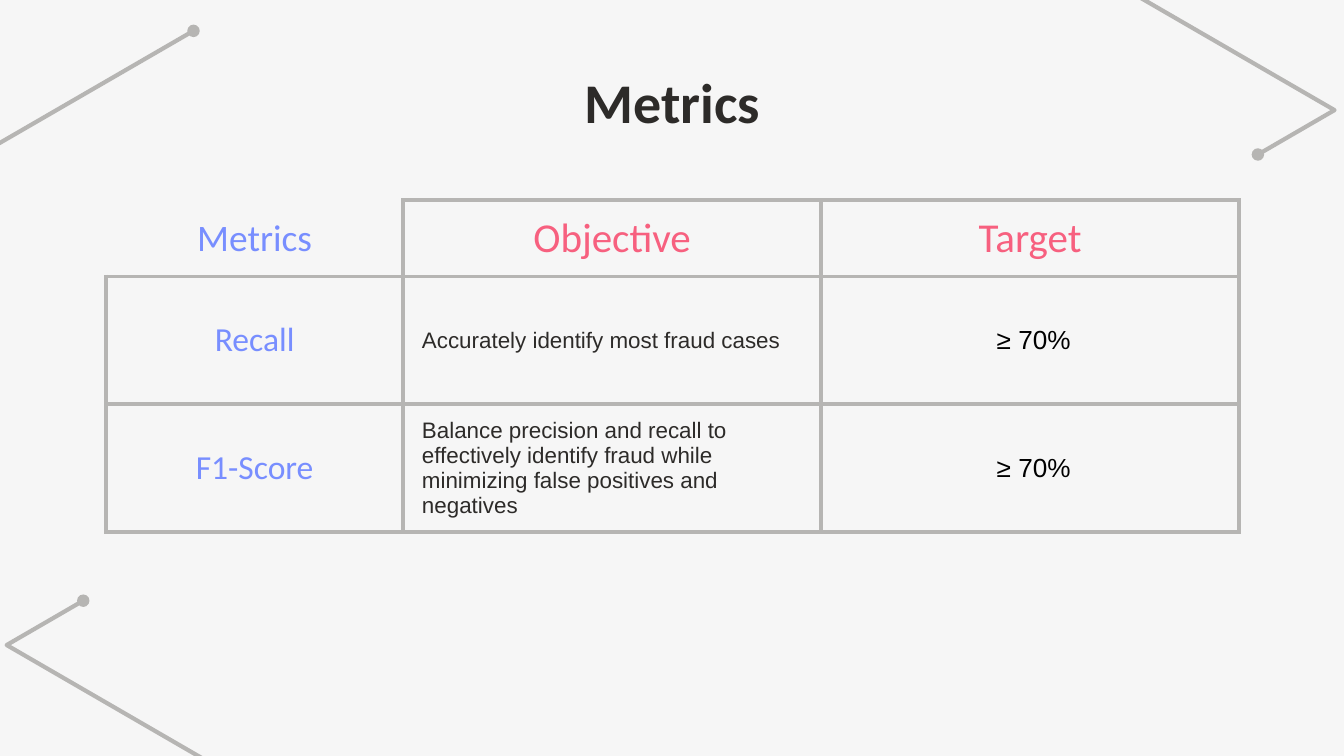
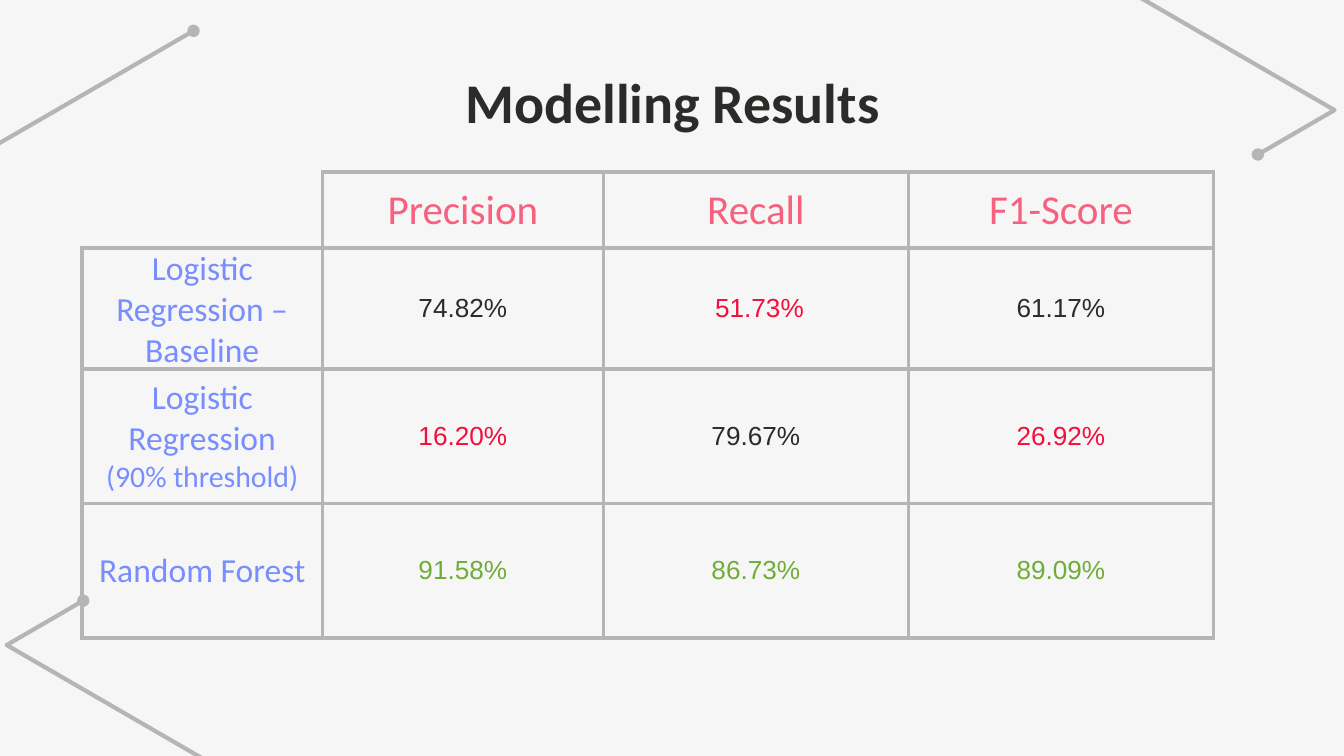
from collections import namedtuple

from lxml.etree import SubElement
from pptx import Presentation
from pptx.dml.color import RGBColor
from pptx.enum.text import MSO_ANCHOR as Anchor, PP_ALIGN as Align
from pptx.oxml import parse_xml
from pptx.oxml.ns import nsdecls, qn
from pptx.util import Emu, Inches, Pt

# The grid has 100 square units across the slide
SLIDE_WIDTH = Inches(10)
COLUMNS, ROWS = 100, 56.25
LINE_WIDTH = Pt(2.25)

COLORS = {
    "background": "F6F6F6",
    "dark": "2D2B29",
    "black": "000000",
    "line": "B6B5B3",
    "blue": "788EFF",
    "pink": "F7607F",
    "red": "F30E3D",
    "green": "71AC39",
}

Style = namedtuple("Style", "font size color align margin_x margin_y bold",
                   defaults=(Align.CENTER, 1, 1, False))
VALUE = Style("Arial", 14, "dark", margin_x=1.4, margin_y=0)
STYLES = {
    "title": Style("Calibri", 30, "dark", bold=True),
    "corner": Style("Calibri", 20, "blue"),
    "header": Style("Calibri", 22, "pink"),
    "label": Style("Calibri", 18, "blue", margin_y=0),
    "note": Style("Calibri", 16, "blue", margin_y=0),
    "sentence": VALUE._replace(size=12, align=Align.LEFT),
    "target": VALUE._replace(color="black"),
    "value": VALUE,
    "weak": VALUE._replace(color="red"),
    "strong": VALUE._replace(color="green"),
}

# Each cell is a list of (style, text) paragraphs
METRICS = [
    [[("corner", "Metrics")], [("header", "Objective")], [("header", "Target")]],
    [[("label", "Recall")],
     [("sentence", "Accurately identify most fraud cases")],
     [("target", " ≥ 70%")]],
    [[("label", "F1-Score")],
     [("sentence", "Balance precision and recall to effectively identify fraud "
                   "while minimizing false positives and negatives")],
     [("target", " ≥ 70%")]],
]
RESULTS = [
    [[], [("header", "Precision")], [("header", "Recall")], [("header", "F1-Score")]],
    [[("label", "Logistic Regression – Baseline")],
     [("value", "74.82%")], [("weak", " 51.73%")], [("value", "61.17%")]],
    [[("label", "Logistic Regression"), ("note", "(90% threshold)")],
     [("weak", "16.20%")], [("value", "79.67%")], [("weak", "26.92%")]],
    [[("label", "Random Forest")],
     [("strong", "91.58%")], [("strong", "86.73%")], [("strong", "89.09%")]],
]


def grid(units):
    return Emu(round(units * SLIDE_WIDTH / COLUMNS))


def color(name):
    return RGBColor.from_string(COLORS[name])


def write(text_frame, paragraphs):
    for index, (style_name, text) in enumerate(paragraphs):
        style = STYLES[style_name]
        paragraph = text_frame.paragraphs[0] if index == 0 else text_frame.add_paragraph()
        paragraph.alignment = style.align
        run = paragraph.add_run()
        run.text = text
        run.font.name = style.font
        run.font.size = Pt(style.size)
        run.font.bold = style.bold
        run.font.color.rgb = color(style.color)


def set_margins(frame, style):
    frame.margin_left = frame.margin_right = grid(style.margin_x)
    frame.margin_top = frame.margin_bottom = grid(style.margin_y)


# Shared parts of the slides
def add_hook(slide, dot_x, dot_y, side, rise):
    """Bent line with round ends; side and rise are 1 or -1."""
    elbow_x, elbow_y = dot_x + 5.7 * side, dot_y - 3.3
    tail = (elbow_x - 24.7 * side, elbow_y - 14.3)
    points = [(dot_x, dot_y), (elbow_x, elbow_y), tail]
    points = [(grid(x), grid(dot_y + (y - dot_y) * rise)) for x, y in points]
    builder = slide.shapes.build_freeform(*points[0])
    builder.add_line_segments(points[1:], close=False)
    shape = builder.convert_to_shape()
    shape.shadow.inherit = False
    shape.fill.background()
    shape.line.color.rgb = color("line")
    shape.line.width = LINE_WIDTH
    outline = shape.line._get_or_add_ln()
    SubElement(outline, qn("a:round"))
    for end in ("a:headEnd", "a:tailEnd"):
        SubElement(outline, qn(end), type="oval")


def add_title(slide, text):
    box = slide.shapes.add_textbox(grid(7.9), grid(4), grid(84.3), grid(6.3))
    frame = box.text_frame
    frame.word_wrap = True
    set_margins(frame, STYLES["title"])
    write(frame, [("title", text)])


def start_slide(presentation, title):
    slide = presentation.slides.add_slide(presentation.slide_layouts[6])
    slide.background.fill.solid()
    slide.background.fill.fore_color.rgb = color("background")
    add_hook(slide, 93.6, 11.5, side=1, rise=1)
    add_hook(slide, 6.2, 44.7, side=-1, rise=-1)
    add_hook(slide, -4.6, 19.9, side=-1, rise=1)
    add_title(slide, title)
    return slide


# Tables
def set_borders(cell, visible):
    properties = cell._tc.get_or_add_tcPr()
    for index, side in enumerate("LRTB"):
        paint = "<a:noFill/>"
        if side in visible:
            paint = f'<a:solidFill><a:srgbClr val="{COLORS["line"]}"/></a:solidFill>'
        border = parse_xml(
            f'<a:ln{side} {nsdecls("a")} w="{LINE_WIDTH}">{paint}</a:ln{side}>')
        properties.insert(index, border)


def add_grid_table(slide, left, top, widths, heights, rows):
    frame = slide.shapes.add_table(len(heights), len(widths), grid(left), grid(top),
                                   grid(sum(widths)), grid(sum(heights)))
    table = frame.table
    table.first_row = table.horz_banding = False
    for column, width in zip(table.columns, widths):
        column.width = grid(width)
    for row, height in zip(table.rows, heights):
        row.height = grid(height)
    for row_index, row in enumerate(rows):
        for column_index, paragraphs in enumerate(row):
            cell = table.cell(row_index, column_index)
            cell.fill.background()
            is_corner = row_index == column_index == 0
            set_borders(cell, "RB" if is_corner else "LRTB")
            cell.vertical_anchor = Anchor.MIDDLE
            if paragraphs:
                set_margins(cell, STYLES[paragraphs[0][0]])
                write(cell.text_frame, paragraphs)


def main():
    presentation = Presentation()
    presentation.slide_width = SLIDE_WIDTH
    presentation.slide_height = grid(ROWS)

    slide = start_slide(presentation, "Metrics")
    add_grid_table(slide, 7.9, 14.9, [22.1, 31.1, 31.1], [5.4, 9.5, 9.5], METRICS)

    slide = start_slide(presentation, "Modelling Results")
    add_grid_table(slide, 6.1, 12.8, [17.9, 20.9, 22.7, 22.7], [5.6, 7.1, 10, 10],
                   RESULTS)

    presentation.save("out.pptx")


if __name__ == "__main__":
    main()
